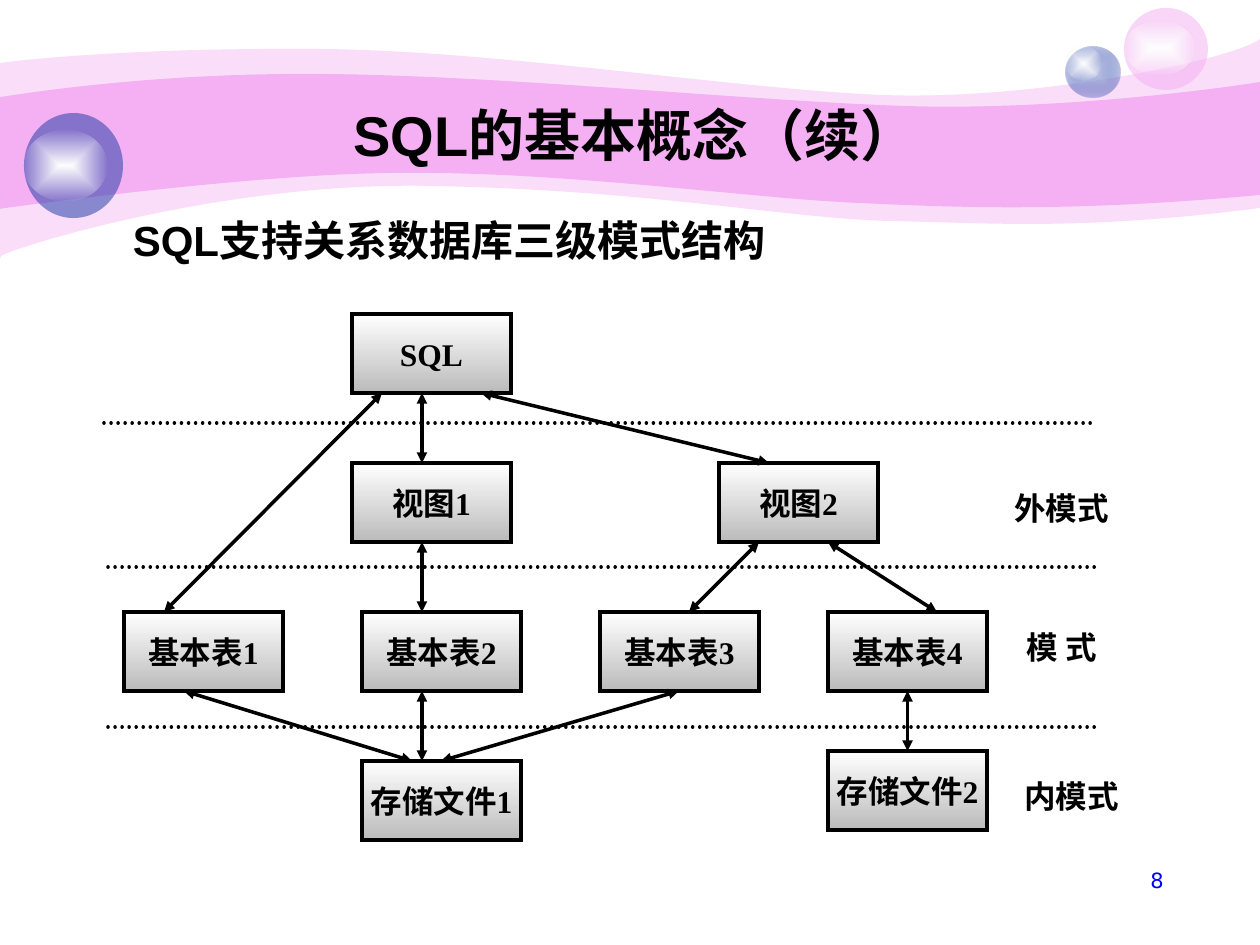
from lxml import etree
from pptx import Presentation
from pptx.dml.color import RGBColor
from pptx.enum.dml import MSO_LINE
from pptx.enum.shapes import MSO_CONNECTOR, MSO_SHAPE
from pptx.enum.text import MSO_ANCHOR, PP_ALIGN
from pptx.oxml.ns import qn
from pptx.util import Pt

PX = 914400 / 126
BLACK = RGBColor(0x00, 0x00, 0x00)
WHITE = RGBColor(0xFF, 0xFF, 0xFF)
GREY = RGBColor(0xBB, 0xBB, 0xBB)
PINK = RGBColor(0xF4, 0xB0, 0xF2)
NAVY = RGBColor(0x23, 0x3D, 0xA9)
PALE_BLUE = RGBColor(0xC7, 0xCE, 0xE9)
BLUE = RGBColor(0x00, 0x00, 0xFF)
STRAIGHT = MSO_CONNECTOR.STRAIGHT
OVAL, RECT = MSO_SHAPE.OVAL, MSO_SHAPE.RECTANGLE
DOTTED = MSO_LINE.ROUND_DOT
MIDDLE, TOP = MSO_ANCHOR.MIDDLE, MSO_ANCHOR.TOP
CENTER, RIGHT = PP_ALIGN.CENTER, PP_ALIGN.RIGHT
BOTTOM_SITE, TOP_SITE = 2, 0

TITLE = dict(name="Arial", size=Pt(32), bold=True)
HEADING = dict(name="Arial", size=Pt(24), bold=True)
NODE = dict(name="Times New Roman", size=Pt(18), bold=True)
NUMBER = dict(name="DejaVu Sans", size=Pt(12), bold=False)

# Each ribbon: start, three curves (two handles and an end each), a corner, three curves
OUTER_RIBBON = [
    (0, 63),
    (30, 59), (135, 48), (311, 49), (486, 49), (725, 88), (881, 95),
    (1036, 101), (1235, 59), (1260, 39),
    (1260, 208),
    (1081, 231), (992, 223), (888, 221), (784, 218), (649, 190), (432, 186),
    (217, 181), (5, 251), (1, 256), (-1, 262), (0, 95), (0, 63)]
INNER_RIBBON = [
    (1, 97),
    (3, 97), (139, 73), (312, 74), (486, 74), (750, 101), (905, 106),
    (1060, 111), (1230, 87), (1260, 82),
    (1260, 195),
    (1075, 212), (964, 208), (859, 203), (755, 199), (563, 171), (399, 173),
    (256, 173), (-3, 209), (-1, 209), (0, 209), (0, 97), (1, 97)]
CORNER = 9

NODE_W, NODE_H = 159, 79
NODES = {
    "SQL": (248, 0),
    "视图2": (615, 149), "视图1": (248, 149),
    "基本表2": (258, 298), "基本表1": (20, 298),
    "基本表3": (496, 298), "基本表4": (724, 298),
    "存储文件2": (724, 437), "存储文件1": (258, 447),
}
# Upper node, x on its bottom side, lower node, x on its top side
ARROWS = [
    ("SQL", 278, "基本表1", 60), ("SQL", 318, "视图1", 318),
    ("视图1", 318, "基本表2", 318), ("基本表2", 318, "存储文件1", 318),
    ("SQL", 377, "视图2", 665), ("视图2", 655, "基本表3", 585),
    ("视图2", 724, "基本表4", 833), ("基本表1", 80, "存储文件1", 308),
    ("基本表3", 575, "存储文件1", 337),
]
DIVIDERS = [(0, 109), (4, 253), (4, 413)]
LEVELS = [("外模式", 883, 169), ("模 式", 883, 308), ("内模式", 893, 457)]


def px(*values):
    return [round(v * PX) for v in values]


def write(shape, text, font, color=BLACK, align=CENTER, anchor=MIDDLE, wrap=True):
    tf = shape.text_frame
    tf.word_wrap, tf.vertical_anchor = wrap, anchor
    p = tf.paragraphs[0]
    p.alignment = align
    r = p.add_run()
    r.text = text
    for key, value in font.items():
        setattr(r.font, key, value)
    r.font.color.rgb = color
    return p


def add_text(s, box, text, font, **options):
    return write(s.shapes.add_textbox(*px(*box)), text, font, **options)


def set_alpha(color_element, percent):
    etree.SubElement(color_element, qn("a:alpha")).set("val", str(percent * 1000))


def solid(shape, color, alpha):
    shape.fill.solid()
    shape.fill.fore_color.rgb = color
    if alpha < 100:
        set_alpha(shape._element.spPr.find(".//" + qn("a:srgbClr")), alpha)


def gradient(shape, start, end):
    fill = shape.fill
    fill.gradient()
    fill.gradient_angle = 270
    for stop, color, position in zip(fill.gradient_stops, (start, end), (0, 1)):
        stop.color.rgb, stop.position = color, position


def glow(shape, start, end, end_alpha):
    """Gradient from the centre outwards, ending part transparent."""
    gradient(shape, start, end)
    grad = shape._element.spPr.find(qn("a:gradFill"))
    set_alpha(grad.findall(".//" + qn("a:srgbClr"))[1], end_alpha)
    grad.remove(grad.find(qn("a:lin")))
    path = etree.SubElement(grad, qn("a:path"))
    path.set("path", "rect")
    center = etree.SubElement(path, qn("a:fillToRect"))
    for side in "ltrb":
        center.set(side, "50000")


def bend(shape):
    """Turn each three line points beside the corner into one Bézier curve."""
    lines = list(shape._element.iter(qn("a:lnTo")))
    del lines[CORNER]
    for i in range(0, 18, 3):
        curve = etree.Element(qn("a:cubicBezTo"))
        lines[i].addprevious(curve)
        for line in lines[i:i + 3]:
            curve.append(line[0])
            line.getparent().remove(line)


def plain(shape):
    shape.shadow.inherit = False
    shape.line.fill.background()
    return shape


def ribbon(s, points, alpha):
    builder = s.shapes.build_freeform(*px(*points[0]))
    builder.add_line_segments([px(*point) for point in points[1:]], close=True)
    shape = plain(builder.convert_to_shape())
    bend(shape)
    solid(shape, PINK, alpha)
    return shape


def oval(s, box):
    return plain(s.shapes.add_shape(OVAL, *px(*box)))


def background(s, master):
    """Ribbons and balls, placed on the master behind the slide's content."""
    shapes = [ribbon(s, OUTER_RIBBON, 41), ribbon(s, INNER_RIBBON, 100)]
    for box, color, alpha in [((1066, 47, 54, 51), NAVY, 31),
                              ((1066, 47, 35, 34), WHITE, 0)]:
        shapes.append(oval(s, box))
        glow(shapes[-1], PALE_BLUE if alpha else WHITE, color, alpha)
    for ball, shine, color in [((1124, 8, 84, 82), (1124, 21, 71, 54), PINK),
                               ((24, 113, 99, 105), (24, 130, 83, 71), NAVY)]:
        shapes += [oval(s, ball), oval(s, shine)]
        solid(shapes[-2], color, 53)
        glow(shapes[-1], WHITE, WHITE, 0)
    for number, shape in enumerate(shapes, 101):
        shape._element.nvSpPr.cNvPr.set("id", str(number))
        master.shapes._spTree.append(shape._element)


def add_line(s, x1, y1, x2, y2, arrows=False):
    line = s.shapes.add_connector(STRAIGHT, *px(x1, y1, x2, y2))
    line.line.color.rgb = BLACK
    line.line.width = Pt(2)
    if arrows:
        ln = line._element.spPr.find(qn("a:ln"))
        for end in ("a:headEnd", "a:tailEnd"):
            etree.SubElement(ln, qn(end)).set("type", "triangle")
    etree.SubElement(line._element.spPr, qn("a:effectLst"))
    return line


def node(s, box, name):
    sp = s.shapes.add_shape(RECT, *px(*box))
    sp.shadow.inherit = False
    gradient(sp, WHITE, GREY)
    sp.line.color.rgb = BLACK
    sp.line.width = Pt(2)
    ln = sp._element.spPr.find(qn("a:ln"))
    etree.SubElement(ln, qn("a:miter")).set("lim", "800000")
    write(sp, name, NODE, wrap=False)
    return sp


def diagram(s, left, top):
    """Three-level schema diagram with its top left corner at the given point."""
    shapes = {name: node(s, (left + x, top + y, NODE_W, NODE_H), name)
              for name, (x, y) in NODES.items()}
    for upper, x1, lower, x2 in ARROWS:
        add_line(s, left + x1, top + NODES[upper][1] + NODE_H,
                 left + x2, top + NODES[lower][1], arrows=True)
    joined = add_line(s, left, top, left, top, arrows=True)
    joined.begin_connect(shapes["基本表4"], BOTTOM_SITE)
    joined.end_connect(shapes["存储文件2"], TOP_SITE)
    for x, y in DIVIDERS:
        line = add_line(s, left + x, top + y, left + x + 992, top + y)
        line.line.dash_style = DOTTED
        line._element.spPr.find(qn("a:ln")).set("cap", "rnd")
    for text, x, y in LEVELS:
        add_text(s, (left + x, top + y, 149, 50), text, NODE)


def main():
    prs = Presentation()
    prs.slide_width, prs.slide_height = px(1260, 945)
    s = prs.slides.add_slide(prs.slide_layouts[5])
    background(s, prs.slide_master)
    title = s.shapes.title
    title.left, title.top, title.width, title.height = px(126, 95, 1018, 78)
    write(title, "SQL的基本概念（续）", TITLE)
    diagram(s, 104, 314)
    p = add_text(s, (115, 188, 668, 83), "SQL支持关系数据库三级模式结构", HEADING,
                 anchor=TOP, wrap=False)
    p.line_spacing = 1.4
    add_text(s, (903, 861, 273, 66), "8", NUMBER, color=BLUE, align=RIGHT, anchor=TOP)
    prs.save("out.pptx")


if __name__ == "__main__":
    main()
